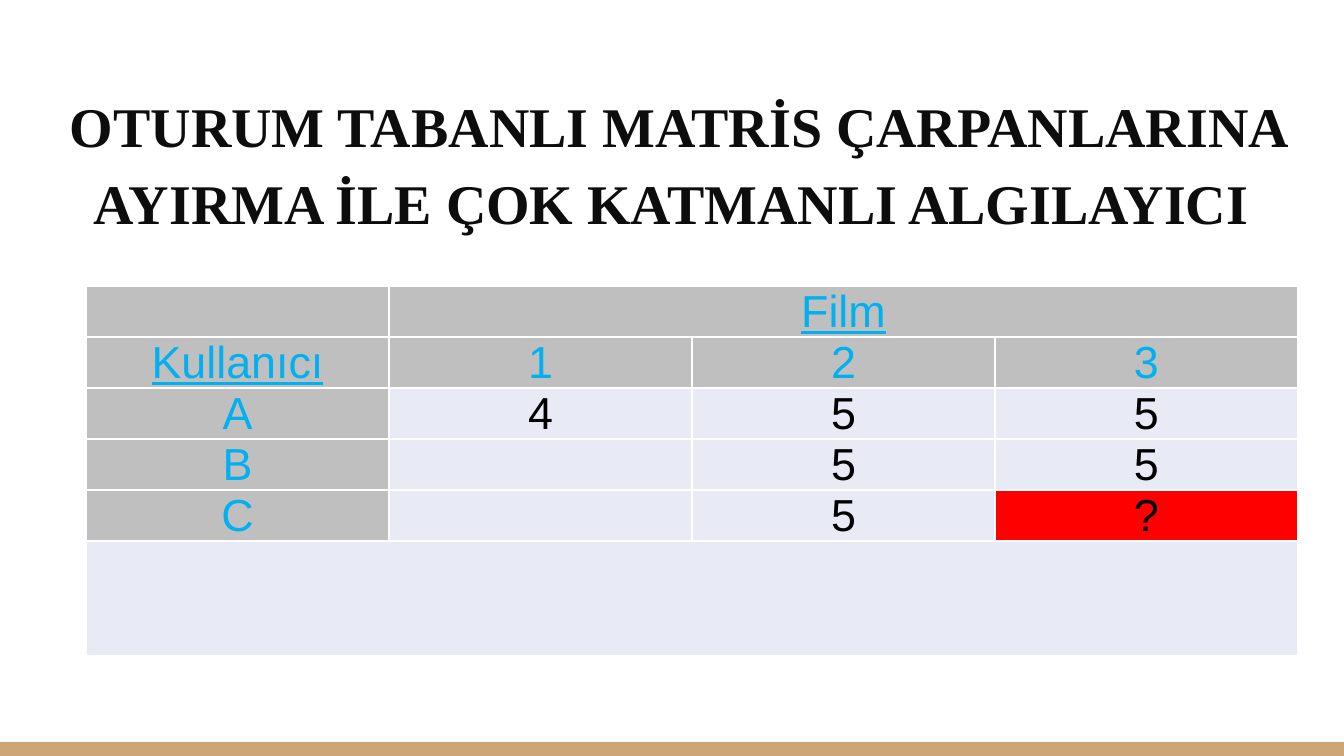
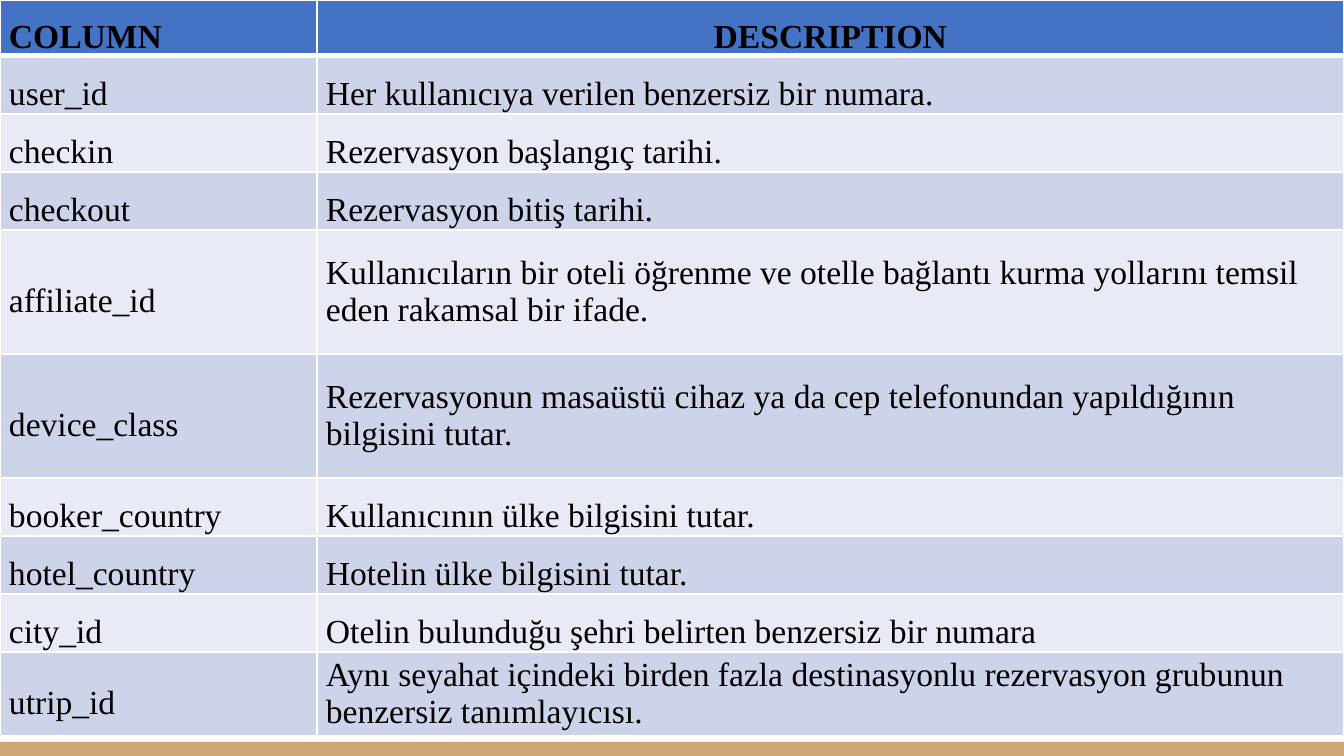
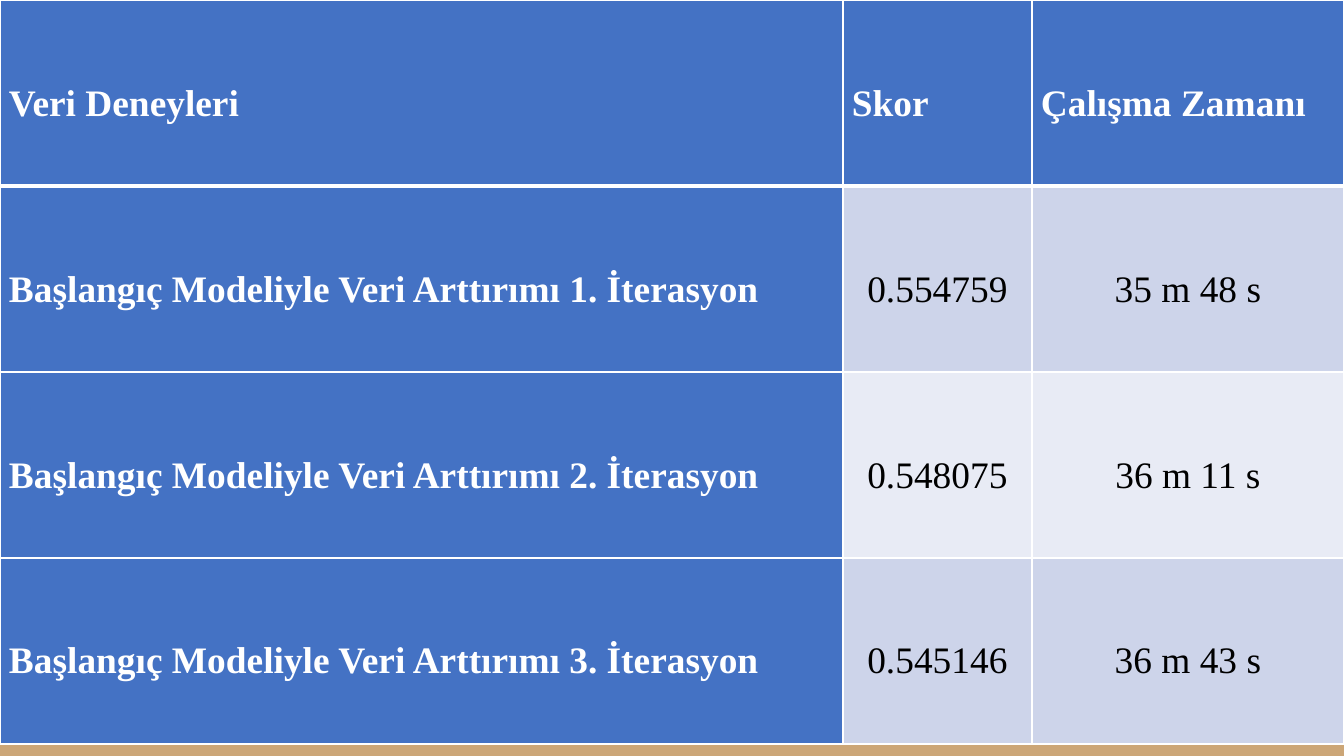
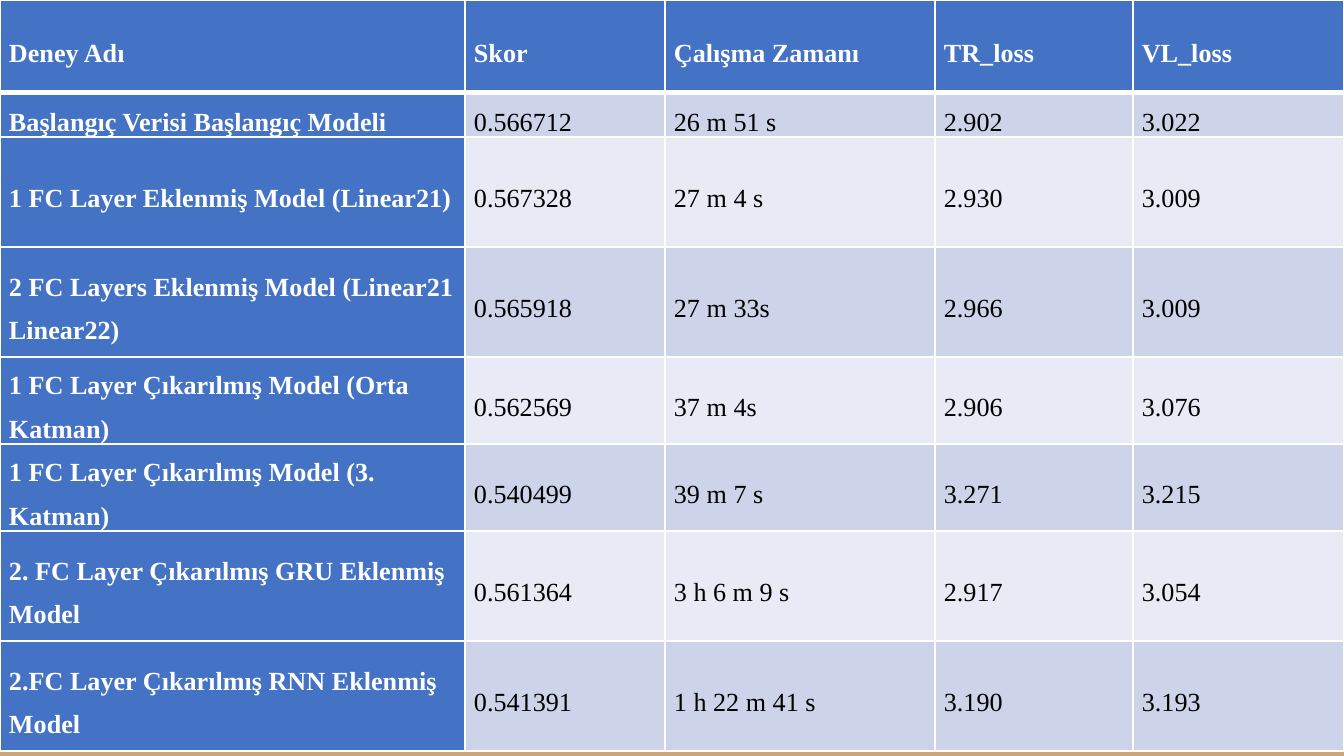
import pptx
import pptx.dml.color
import pptx.enum.shapes
import pptx.enum.text
import pptx.oxml
import pptx.oxml.ns
import pptx.util

RGBColor = pptx.dml.color.RGBColor
ALIGN = pptx.enum.text.PP_ALIGN
ANCHOR = pptx.enum.text.MSO_ANCHOR

WHITE = RGBColor(0xFF, 0xFF, 0xFF)
BLACK = RGBColor(0, 0, 0)
INK = RGBColor(0x0D, 0x0D, 0x0D)
SAND = RGBColor(0xCC, 0xA6, 0x77)
GREY = RGBColor(0xBF, 0xBF, 0xBF)
SKY = RGBColor(0, 0xB0, 0xF0)
RED = RGBColor(0xFF, 0, 0)
BLUE = RGBColor(0x44, 0x72, 0xC4)
DARK_BAND = RGBColor(0xCD, 0xD4, 0xEA)
LIGHT_BAND = RGBColor(0xE8, 0xEB, 0xF5)

SERIF = "Times New Roman"
SANS = "Arial"
SCALE = 914400 / 134.4
WIDTH, HEIGHT = 1344, 756
BAND_TOP = 742

TITLE = "OTURUM TABANLI MATRİS ÇARPANLARINA AYIRMA İLE ÇOK KATMANLI ALGILAYICI "

RATINGS = [
    ("", "Film", "", ""),
    ("Kullanıcı", "1", "2", "3"),
    ("A", "4", "5", "5"),
    ("B", "", "5", "5"),
    ("C", "", "5", "?"),
    ("", "", "", ""),
]

COLUMNS = [
    ("COLUMN", "DESCRIPTION"),
    ("user_id", "Her kullanıcıya verilen benzersiz bir numara."),
    ("checkin", "Rezervasyon başlangıç tarihi."),
    ("checkout", "Rezervasyon bitiş tarihi."),
    ("affiliate_id", "Kullanıcıların bir oteli öğrenme ve otelle bağlantı kurma "
     "yollarını temsil eden rakamsal bir ifade."),
    ("device_class", "Rezervasyonun masaüstü cihaz ya da cep telefonundan "
     "yapıldığının bilgisini tutar."),
    ("booker_country", "Kullanıcının ülke bilgisini tutar."),
    ("hotel_country", "Hotelin ülke bilgisini tutar."),
    ("city_id", "Otelin bulunduğu şehri belirten benzersiz bir numara"),
    ("utrip_id", "Aynı seyahat içindeki birden fazla destinasyonlu rezervasyon "
     "grubunun benzersiz tanımlayıcısı."),
]

DATA_TRIALS = [
    ("Veri Deneyleri", "Skor", "Çalışma Zamanı"),
    ("Başlangıç Modeliyle Veri Arttırımı 1. İterasyon", "0.554759", "35 m 48 s"),
    ("Başlangıç Modeliyle Veri Arttırımı 2. İterasyon", "0.548075", "36 m 11 s"),
    ("Başlangıç Modeliyle Veri Arttırımı 3. İterasyon", "0.545146", "36 m 43 s"),
]

MODEL_TRIALS = [
    ("Deney Adı", "Skor", "Çalışma Zamanı", "TR_loss", "VL_loss"),
    ("Başlangıç Verisi Başlangıç Modeli", "0.566712", "26 m 51 s", "2.902", "3.022"),
    ("1 FC Layer Eklenmiş Model (Linear21)", "0.567328", "27 m 4 s", "2.930", "3.009"),
    ("2 FC Layers Eklenmiş Model (Linear21 Linear22)", "0.565918", "27 m 33s", "2.966", "3.009"),
    ("1 FC Layer Çıkarılmış Model (Orta Katman)", "0.562569", "37 m 4s", "2.906", "3.076"),
    ("1 FC Layer Çıkarılmış Model (3. Katman)", "0.540499", "39 m 7 s", "3.271", "3.215"),
    ("2. FC Layer Çıkarılmış GRU Eklenmiş Model", "0.561364", "3 h 6 m 9 s", "2.917", "3.054"),
    ("2.FC Layer Çıkarılmış RNN Eklenmiş Model", "0.541391", "1 h 22 m 41 s", "3.190", "3.193"),
]


def px(length):
    return pptx.util.Emu(round(length * SCALE))


def apply(target, values):
    for name, value in values.items():
        setattr(target, name, value)


def write(para, text, color, font, align, spacing):
    apply(para, {"alignment": align, "line_spacing": spacing})
    span = para.add_run()
    span.text = text
    apply(span.font, font)
    span.font.color.rgb = color


def add_page(deck, layout):
    page = deck.slides.add_slide(deck.slide_layouts[layout])
    band = page.shapes.add_shape(pptx.enum.shapes.MSO_SHAPE.RECTANGLE,
                                 0, px(BAND_TOP), px(WIDTH), px(HEIGHT - BAND_TOP))
    band.shadow.inherit = False
    band.fill.solid()
    band.fill.fore_color.rgb = SAND
    band.line.fill.background()
    return page


def set_borders(cell, widths):
    properties = cell._tc.get_or_add_tcPr()
    for side, points in widths.items():
        properties.append(pptx.oxml.parse_xml(
            f'<a:ln{side} {pptx.oxml.ns.nsdecls("a")} w="{points * 12700}">'
            f'<a:solidFill><a:srgbClr val="{WHITE}"/></a:solidFill></a:ln{side}>'))


def add_table(page, content, left, top, widths, heights, style, merges=()):
    frame = page.shapes.add_table(len(heights), len(widths), px(left), px(top),
                                  px(sum(widths)), px(sum(heights)))
    table = frame.table
    table.horz_banding = False
    for column, width in zip(table.columns, widths):
        column.width = px(width)
    for row, height in zip(table.rows, heights):
        row.height = px(height)
    for first, last in merges:
        table.cell(*first).merge(table.cell(*last))
    for row, texts in enumerate(content):
        for column, text in enumerate(texts):
            cell = table.cell(row, column)
            borders, fill, color, font, align, spacing, box = style(row, column, text)
            set_borders(cell, borders)
            apply(cell, box)
            cell.fill.solid()
            cell.fill.fore_color.rgb = fill
            if text:
                write(cell.text_frame.paragraphs[0], text, color, font, align, spacing)


def rating_style(row, column, text):
    label = row < 2 or (column == 0 and row < len(RATINGS) - 1)
    fill = GREY if label else RED if text == "?" else LIGHT_BAND
    font = {"name": SANS, "size": pptx.util.Pt(24), "bold": False,
            "underline": text in ("Film", "Kullanıcı")}
    box = {"vertical_anchor": ANCHOR.BOTTOM, "margin_left": px(1), "margin_right": px(1),
           "margin_top": px(1), "margin_bottom": 0}
    return (dict.fromkeys("LRTB", 1), fill, SKY if label else BLACK,
            font, ALIGN.CENTER, 1.0, box)


def banded_style(size, centered=lambda row, column: False, blue_column=True,
                 label_color=WHITE):
    box = {"vertical_anchor": ANCHOR.MIDDLE, "margin_left": px(9), "margin_right": px(9),
           "margin_top": 0, "margin_bottom": 0}

    def style(row, column, text):
        label = row == 0 or (blue_column and column == 0)
        fill = BLUE if label else DARK_BAND if row % 2 else LIGHT_BAND
        borders = {"L": 1, "R": 1, "T": 1, "B": 3} if row == 0 else {"L": 1, "R": 1, "B": 1}
        font = {"name": SERIF, "size": pptx.util.Pt(size), "bold": label}
        align = ALIGN.CENTER if centered(row, column) else ALIGN.LEFT
        spacing = 1.0 if len(text) > 60 else 1.5
        return borders, fill, label_color if label else BLACK, font, align, spacing, box

    return style


def add_title(page):
    title = page.shapes.title
    apply(title, {"left": px(46), "top": px(47), "width": px(1265), "height": px(202)})
    frame = title.text_frame
    apply(frame, {"word_wrap": True, "auto_size": pptx.enum.text.MSO_AUTO_SIZE.NONE,
                  "vertical_anchor": ANCHOR.BOTTOM})
    apply(frame, {f"margin_{side}": px(13) for side in ("left", "right", "top", "bottom")})
    write(frame.paragraphs[0], TITLE, INK,
          {"name": SERIF, "size": pptx.util.Pt(30), "bold": True}, ALIGN.CENTER, 1.15)


def main():
    deck = pptx.Presentation()
    apply(deck, {"slide_width": px(WIDTH), "slide_height": px(HEIGHT)})

    page = add_page(deck, 5)
    add_title(page)
    add_table(page, RATINGS, 86, 286, [303] * 4, [51] * 5 + [115], rating_style,
              [((0, 1), (0, 3)), ((5, 0), (5, 3))])

    add_table(add_page(deck, 6), COLUMNS, 0, 0, [317, 1027],
              [55, 58, 58, 58, 124, 124, 58, 58, 58, 84],
              banded_style(18, lambda row, column: row == 0 and column == 1,
                           blue_column=False, label_color=BLACK))

    add_table(add_page(deck, 6), DATA_TRIALS, 0, 0, [843, 189, 312], [186] * 4,
              banded_style(20, lambda row, column: row > 0 and column > 0))

    add_table(add_page(deck, 6), MODEL_TRIALS, 0, 0, [465, 200, 270, 198, 211],
              [93, 44, 110, 110, 87, 87, 110, 110], banded_style(14))

    deck.save("out.pptx")


if __name__ == "__main__":
    main()
